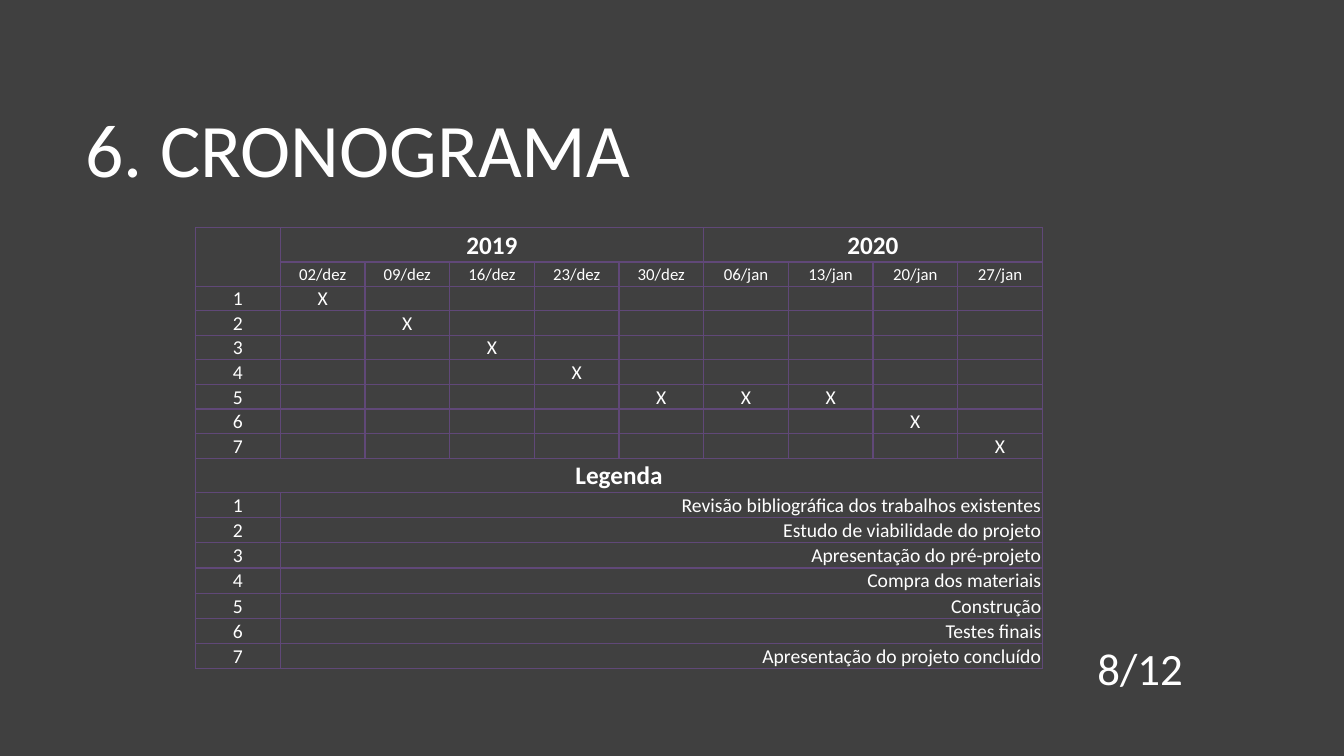
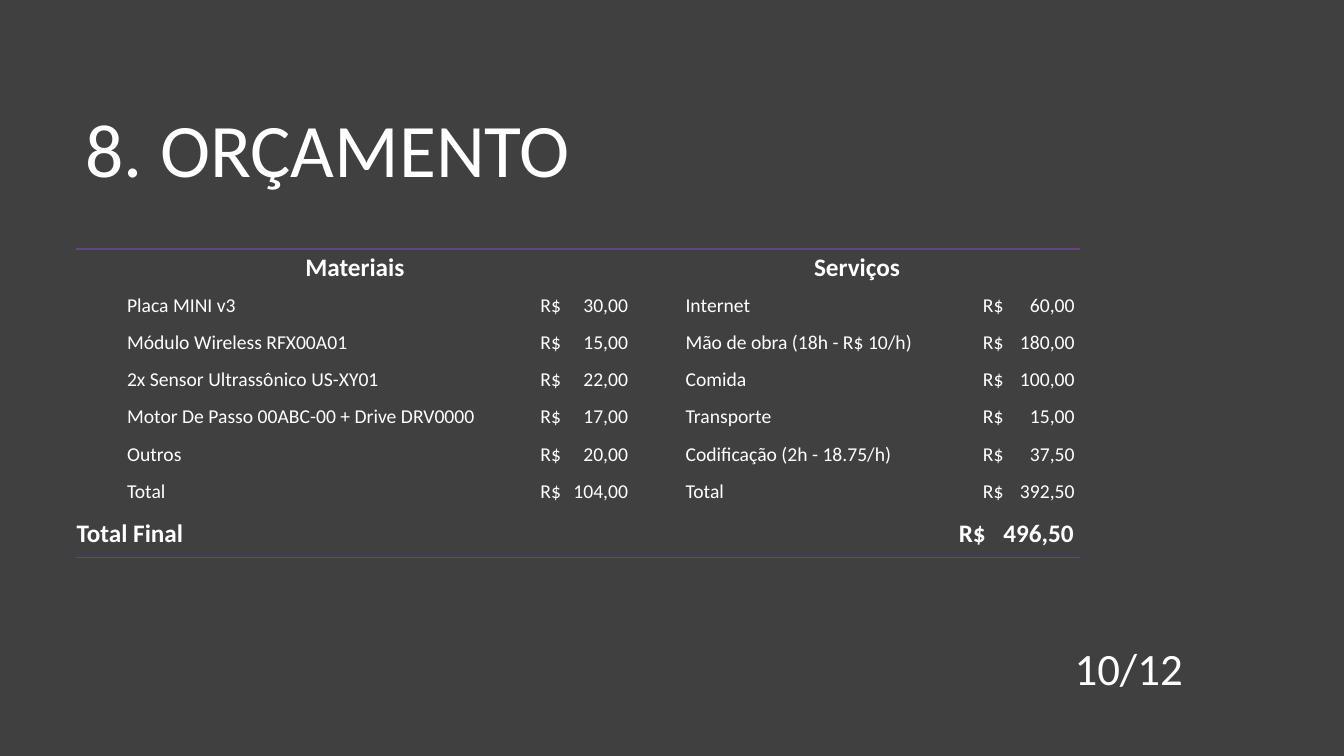
from lxml.etree import SubElement
from pptx import Presentation
from pptx.dml.color import RGBColor
from pptx.enum.text import MSO_ANCHOR, PP_ALIGN
from pptx.oxml import parse_xml
from pptx.oxml.ns import nsdecls, qn
from pptx.util import Inches, Pt

COLORS = {"background": "404040", "text": "FFFFFF", "grid": "604878"}
FONT = "Calibri"
SIDES = "LRTB"


class Deck:
    """Holds the shared style and the slide being built."""

    def __init__(self):
        self.prs = Presentation()
        self.prs.slide_width = Inches(13.33)
        self.prs.slide_height = Inches(7.5)
        fill = self.prs.slide_master.background.fill
        fill.solid()
        fill.fore_color.rgb = RGBColor.from_string(COLORS["background"])
        self.slide = None

    def add_slide(self, title, page):
        self.slide = self.prs.slides.add_slide(self.prs.slide_layouts[5])
        heading = self.slide.shapes.title
        heading.left, heading.top = Inches(0.75), Inches(0.67)
        heading.width, heading.height = Inches(11.08), Inches(1.59)
        self.fill_frame(heading.text_frame, title, 54, PP_ALIGN.LEFT)
        page_box = self.slide.shapes.add_textbox(
            Inches(10.39), Inches(6.42), Inches(1.44), Inches(0.41))
        self.fill_frame(page_box.text_frame, page, 32, PP_ALIGN.RIGHT)

    def fill_frame(self, frame, text, size, align):
        frame.word_wrap = True
        frame.vertical_anchor = MSO_ANCHOR.MIDDLE
        self.add_text(frame.paragraphs[0], text, size, align)

    def add_text(self, paragraph, text, size, align, bold=False):
        paragraph.alignment = align
        run = paragraph.add_run()
        run.text = text
        run.font.size = Pt(size)
        run.font.name = FONT
        run.font.bold = bold
        run.font.color.rgb = RGBColor.from_string(COLORS["text"])

    def add_table(self, left, top, widths, heights):
        """Adds a table with clear cells, tight margins and no borders."""
        table = self.slide.shapes.add_table(
            len(heights), len(widths), Inches(left), Inches(top),
            Inches(sum(widths)), Inches(sum(heights))).table
        table.first_row = table.horz_banding = False
        for column, width in zip(table.columns, widths):
            column.width = Inches(width)
        for row, height in zip(table.rows, heights):
            row.height = Inches(height)
        for cell in table.iter_cells():
            cell.fill.background()
            cell.vertical_anchor = MSO_ANCHOR.MIDDLE
            cell.margin_left = cell.margin_right = cell.margin_top = Inches(0.01)
            cell.margin_bottom = 0
            self.set_borders(cell, "")
            # Small end mark, so that empty cells do not stretch their row
            paragraph = cell.text_frame.paragraphs[0]._p
            SubElement(paragraph, qn("a:endParaRPr")).set("sz", "1200")
        return table

    def set_borders(self, cell, shown):
        """Draws the sides named in shown and clears the others."""
        tc_pr = cell._tc.get_or_add_tcPr()
        for index, side in enumerate(SIDES):
            for old in tc_pr.findall(qn(f"a:ln{side}")):
                tc_pr.remove(old)
            paint = "<a:noFill/>"
            if side in shown:
                paint = (f'<a:solidFill><a:srgbClr val="{COLORS["grid"]}"/>'
                         "</a:solidFill>")
            tc_pr.insert(index, parse_xml(
                f'<a:ln{side} {nsdecls("a")} w="12700">{paint}</a:ln{side}>'))

    def put(self, cell, text, size=14, align=PP_ALIGN.CENTER, bold=False,
            indent=0.01):
        cell.margin_left = Inches(indent)
        self.add_text(cell.text_frame.paragraphs[0], text, size, align, bold)

    def put_price(self, cell, amount, indent, tab, size=14, bold=False):
        """Sets the currency sign, then the amount at a right tab stop."""
        self.put(cell, f"R$\t{amount}", size, PP_ALIGN.LEFT, bold, indent)
        p_pr = cell.text_frame.paragraphs[0]._p.get_or_add_pPr()
        stop = SubElement(SubElement(p_pr, qn("a:tabLst")), qn("a:tab"))
        stop.set("pos", str(Inches(tab)))
        stop.set("algn", "r")


def add_schedule(deck):
    deck.add_slide("6. CRONOGRAMA", "8/12")
    dates = ["02/dez", "09/dez", "16/dez", "23/dez", "30/dez",
             "06/jan", "13/jan", "20/jan", "27/jan"]
    # Each stage with the date columns it takes
    stages = [
        ("Revisão bibliográfica dos trabalhos existentes", [1]),
        ("Estudo de viabilidade do projeto", [2]),
        ("Apresentação do pré-projeto", [3]),
        ("Compra dos materiais", [4]),
        ("Construção", [5, 6, 7]),
        ("Testes finais", [8]),
        ("Apresentação do projeto concluído", [9]),
    ]
    count, last = len(stages), len(dates)
    legend_row = 2 + count
    heights = [0.34] + [0.24] * (count + 1) + [0.34] + [0.25] * count
    table = deck.add_table(1.94, 2.26, [0.84] * (last + 1), heights)
    for cell in table.iter_cells():
        deck.set_borders(cell, SIDES)

    # Year, date and legend headings
    table.cell(0, 0).merge(table.cell(1, 0))
    for text, row, first, end in [("2019", 0, 1, 5), ("2020", 0, 6, last),
                                  ("Legenda", legend_row, 0, last)]:
        table.cell(row, first).merge(table.cell(row, end))
        deck.put(table.cell(row, first), text, 18, bold=True)
    for column, date in enumerate(dates, 1):
        deck.put(table.cell(1, column), date, 12)

    # Marks above, stage names below
    for number, (stage, weeks) in enumerate(stages, 1):
        mark_row, name_row = 1 + number, legend_row + number
        for row in (mark_row, name_row):
            deck.put(table.cell(row, 0), str(number))
        for week in weeks:
            deck.put(table.cell(mark_row, week), "X")
        table.cell(name_row, 1).merge(table.cell(name_row, last))
        deck.put(table.cell(name_row, 1), stage, align=PP_ALIGN.RIGHT)


def add_budget(deck):
    deck.add_slide("8. ORÇAMENTO", "10/12")
    # Heading, first column, price indent, price tab, items
    groups = [
        ("Materiais", 0, 0.23, 0.87, [
            ("Placa MINI v3", "30,00"),
            ("Módulo Wireless RFX00A01", "15,00"),
            ("2x Sensor Ultrassônico US-XY01", "22,00"),
            ("Motor De Passo 00ABC-00 + Drive DRV0000", "17,00"),
            ("Outros", "20,00"),
            ("Total", "104,00")]),
        ("Serviços", 2, 0.44, 0.91, [
            ("Internet", "60,00"),
            ("Mão de obra (18h - R$ 10/h)", "180,00"),
            ("Comida", "100,00"),
            ("Transporte", "15,00"),
            ("Codificação (2h - 18.75/h)", "37,50"),
            ("Total", "392,50")]),
    ]
    table = deck.add_table(0.75, 2.47, [4.38, 1.16, 3.02, 1.4],
                           [0.37] * 7 + [0.47])
    for column in range(4):
        deck.set_borders(table.cell(0, column), "T")
        deck.set_borders(table.cell(7, column), "B")

    # Items and prices
    for heading, column, indent, tab, items in groups:
        table.cell(0, column).merge(table.cell(0, column + 1))
        deck.put(table.cell(0, column), heading, 18, bold=True)
        for row, (item, amount) in enumerate(items, 1):
            deck.put(table.cell(row, column), item, align=PP_ALIGN.LEFT,
                     indent=0.51)
            deck.put_price(table.cell(row, column + 1), amount, indent, tab)

    # Grand total
    table.cell(7, 0).merge(table.cell(7, 2))
    deck.put(table.cell(7, 0), "Total Final", 18, PP_ALIGN.LEFT, bold=True)
    deck.put_price(table.cell(7, 3), "496,50", 0.2, 1.14, 18, bold=True)


def main():
    deck = Deck()
    add_schedule(deck)
    add_budget(deck)
    deck.prs.save("out.pptx")


if __name__ == "__main__":
    main()
